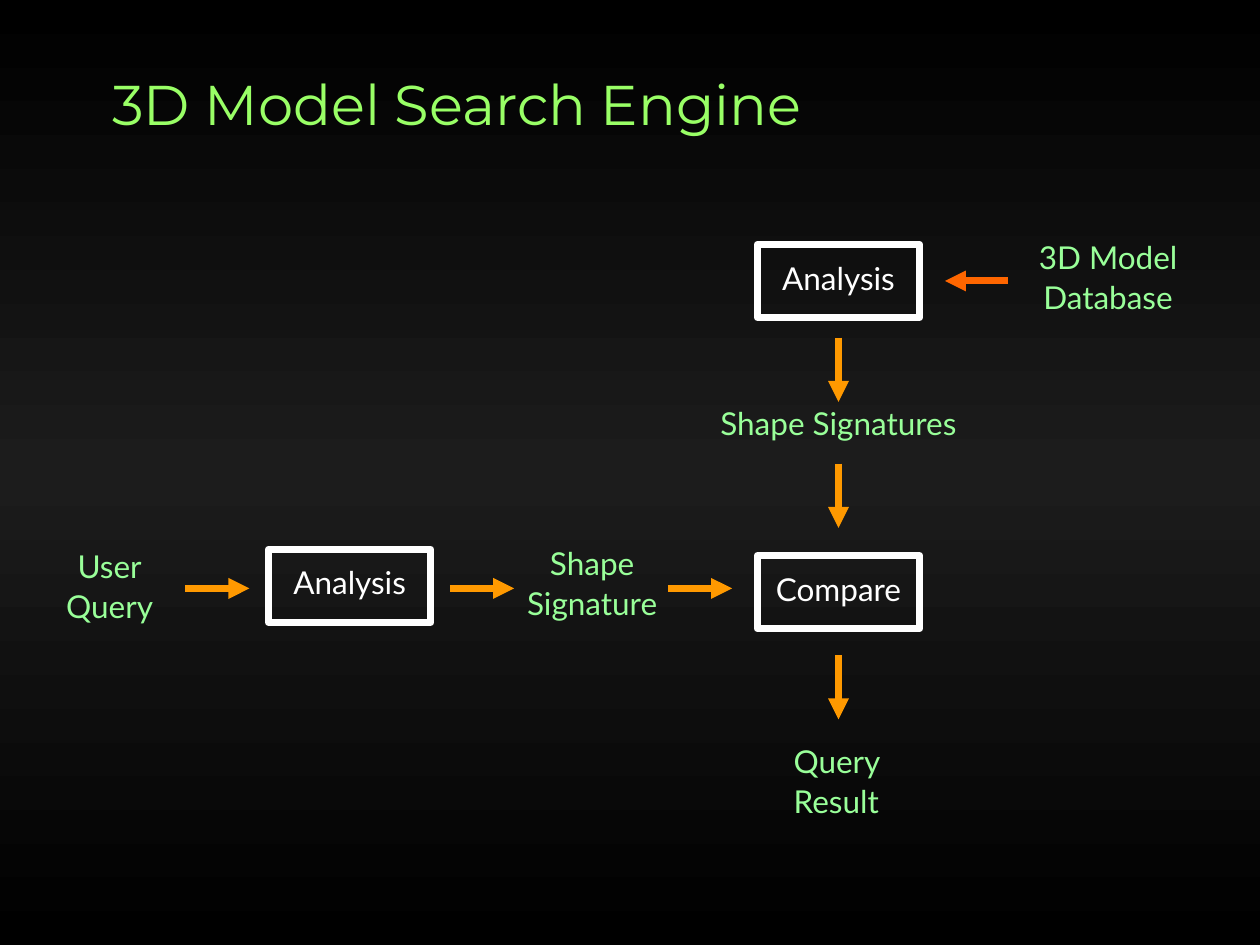
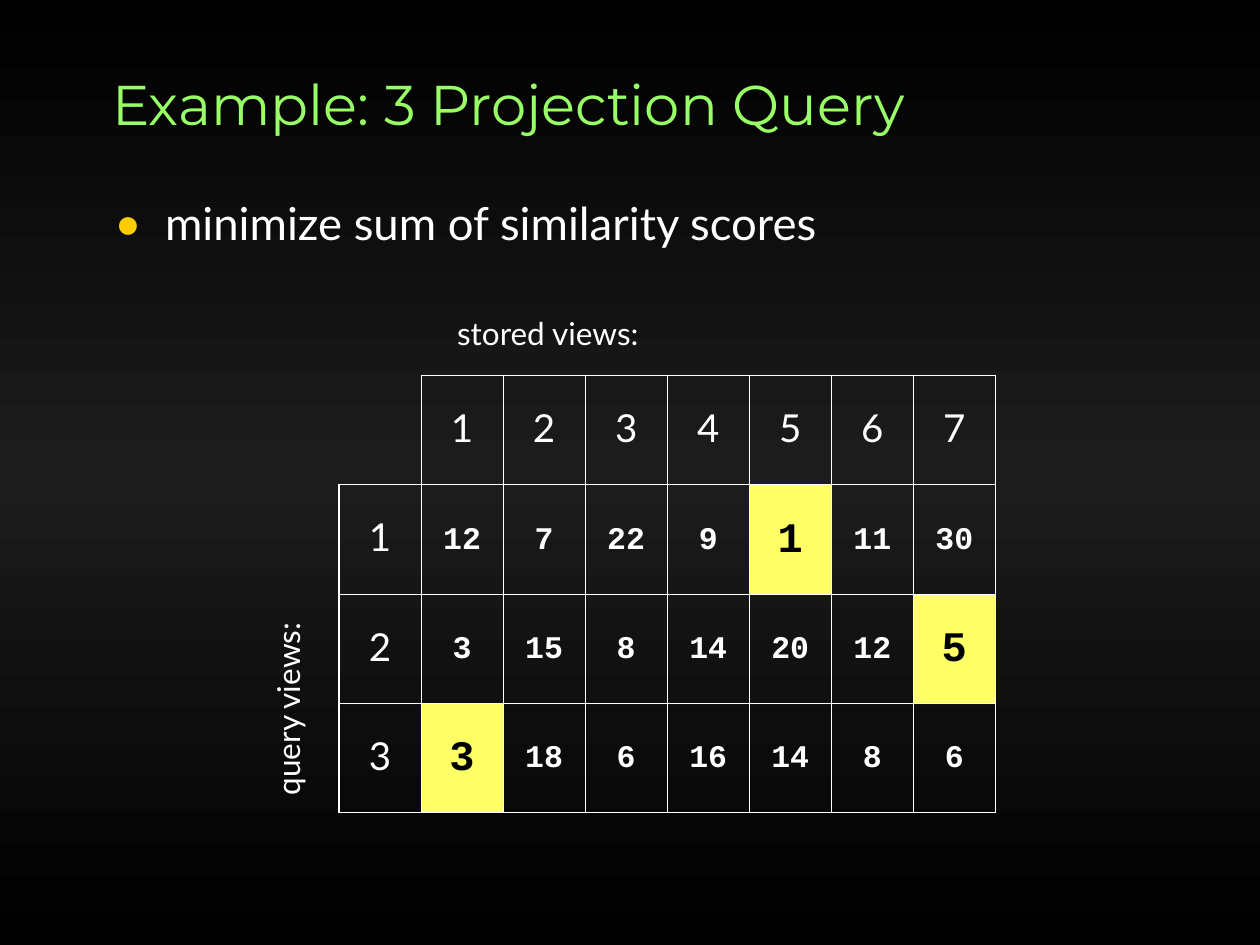
from lxml import etree
from pptx import Presentation
from pptx import util as u
from pptx.dml.color import RGBColor
from pptx.enum import shapes, text
from pptx.oxml.ns import qn

SLIDE_WIDTH, SLIDE_HEIGHT = u.Inches(10), u.Inches(7.5)
COLUMNS, ROWS = 100, 75

COLORS = {
    "black": "000000", "middle": "1C1C1C", "white": "FFFFFF",
    "title": "99FF66", "label": "99FF99", "bullet": "FFCC00",
    "arrow": "FF9900", "database arrow": "FF6600", "match": "FFFF66",
}
TITLE_FONT, TEXT_FONT, NUMBER_FONT = "Montserrat", "Lato", "Courier New"
TEXT_SIZE, STROKE = 18, 4
THIN, THICK = 0.45, 1.08
LEFT, CENTER = text.PP_ALIGN.LEFT, text.PP_ALIGN.CENTER


# Grid and colour helpers
def across(columns):
    return round(SLIDE_WIDTH * columns / COLUMNS)


def down(rows):
    return round(SLIDE_HEIGHT * rows / ROWS)


def frame(left, top, width, height):
    return across(left), down(top), across(width), down(height)


def centered_frame(middle, size):
    (x, y), (width, height) = middle, size
    return frame(x - width / 2, y - height / 2, width, height)


def rgb(name):
    return RGBColor.from_string(COLORS[name])


def add_color(parent, name):
    etree.SubElement(parent, qn("a:srgbClr"), val=COLORS[name])


# Text
def write_lines(text_frame, lines, color, size=TEXT_SIZE, font=TEXT_FONT,
                bold=False, align=CENTER, spacing=0.8):
    for index, line in enumerate(lines):
        paragraph = text_frame.paragraphs[0] if index == 0 else text_frame.add_paragraph()
        paragraph.alignment = align
        paragraph.line_spacing = spacing
        paragraph.space_before = u.Pt(size * 0.31)
        run = paragraph.add_run()
        run.text = line
        run.font.name, run.font.size, run.font.bold = font, u.Pt(size), bold
        run.font.color.rgb = rgb(color)


def place(shape, left, top, width, height):
    shape.left, shape.top, shape.width, shape.height = frame(left, top, width, height)
    shape.text_frame.auto_size = text.MSO_AUTO_SIZE.NONE


def add_titled_slide(presentation, layout_index, title):
    slide = presentation.slides.add_slide(presentation.slide_layouts[layout_index])
    shape = slide.shapes.title
    place(shape, 7.9, 1.9, 85, 12.5)
    shape.text_frame.vertical_anchor = text.MSO_ANCHOR.MIDDLE
    write_lines(shape.text_frame, [title], "title", 32, TITLE_FONT, align=LEFT, spacing=1.0)
    return slide


def add_label(slide, lines, middle, size, color="label", align=CENTER, spacing=0.8, rotation=0):
    shape = slide.shapes.add_textbox(*centered_frame(middle, size))
    shape.rotation = rotation
    shape.text_frame.word_wrap = False
    shape.text_frame.auto_size = text.MSO_AUTO_SIZE.SHAPE_TO_FIT_TEXT
    write_lines(shape.text_frame, lines, color, align=align, spacing=spacing)


def write_bullet(shape, line):
    place(shape, 8.3, 15.5, 85, 9)
    write_lines(shape.text_frame, [line], "white", 26, align=LEFT, spacing=0.9)
    properties = shape.text_frame.paragraphs[0]._p.get_or_add_pPr()
    indent = u.Inches(0.38)
    properties.set("marL", str(indent))
    properties.set("indent", str(-indent))
    add_color(etree.SubElement(properties, qn("a:buClr")), "bullet")
    etree.SubElement(properties, qn("a:buSzPct"), val="80000")
    etree.SubElement(properties, qn("a:buFont"), typeface=TEXT_FONT)
    etree.SubElement(properties, qn("a:buChar"), char="●")


# Diagram parts
def add_step(slide, name, middle):
    shape = slide.shapes.add_shape(shapes.MSO_SHAPE.RECTANGLE,
                                   *centered_frame(middle, (12.9, 5.8)))
    shape.shadow.inherit = False
    shape.fill.background()
    shape.line.color.rgb = rgb("white")
    shape.line.width = u.Pt(STROKE)
    shape.text_frame.word_wrap = False
    shape.text_frame.vertical_anchor = text.MSO_ANCHOR.MIDDLE
    write_lines(shape.text_frame, [name], "white")


def add_arrow(slide, x, y, run_x, run_y, color="arrow"):
    connector = slide.shapes.add_connector(
        shapes.MSO_CONNECTOR.STRAIGHT, across(x), down(y), across(x + run_x), down(y + run_y))
    connector.line.color.rgb = rgb(color)
    connector.line.width = u.Pt(STROKE)
    etree.SubElement(connector.line._get_or_add_ln(), qn("a:tailEnd"), type="triangle")
    etree.SubElement(connector._element.spPr, qn("a:effectLst"))


# Table parts
def set_borders(cell, widths):
    """Draw the left, right, top and bottom borders; a width of 0 hides one."""
    properties = cell._tc.get_or_add_tcPr()
    for index, (side, width) in enumerate(zip("LRTB", widths)):
        line = etree.Element(qn(f"a:ln{side}"), w=str(u.Pt(width)))
        if width:
            add_color(etree.SubElement(line, qn("a:solidFill")), "white")
        else:
            etree.SubElement(line, qn("a:noFill"))
        properties.insert(index, line)


def add_score_table(slide, scores, matches):
    row_count, column_count = len(scores) + 1, len(scores[0]) + 1
    table = slide.shapes.add_table(row_count, column_count,
                                   *frame(26.9, 29.8, 52.1, 34.7)).table
    table.first_row = table.horz_banding = False
    values = [["", *range(1, column_count)]]
    values += [[view, *row] for view, row in enumerate(scores, start=1)]

    for row, row_values in enumerate(values):
        for column, value in enumerate(row_values):
            cell = table.cell(row, column)
            cell.vertical_anchor = text.MSO_ANCHOR.MIDDLE
            cell.fill.background()
            corner = row == column == 0
            outer = 0 if corner else THICK
            set_borders(cell, (outer if column == 0 else THIN,
                               THICK if column == column_count - 1 else THIN,
                               outer if row == 0 else THIN,
                               THICK if row == row_count - 1 else THIN))
            if corner:
                continue
            color, size, font, bold = "white", TEXT_SIZE, NUMBER_FONT, True
            if row == 0 or column == 0:
                size, font, bold = 22, TEXT_FONT, False
            elif (row, column) in matches:
                color, size = "black", 24
                cell.fill.solid()
                cell.fill.fore_color.rgb = rgb("match")
            write_lines(cell.text_frame, [str(value)], color, size, font, bold, spacing=0.9)


# Shared background
def set_background(master):
    fill = master.background.fill
    fill.gradient()
    fill.gradient_angle = 90
    stops = master.element.find(f".//{qn('a:gsLst')}")
    for stop in list(stops):
        stops.remove(stop)
    for percent, color in ((0, "black"), (50, "middle"), (100, "black")):
        add_color(etree.SubElement(stops, qn("a:gs"), pos=str(percent * 1000)), color)


# Slides
def build_search_engine(presentation):
    slide = add_titled_slide(presentation, 5, "3D Model Search Engine")
    main_x, query_y, arrow = 66.55, 46.7, 5.1

    add_step(slide, "Analysis", (main_x, 22.3))
    add_step(slide, "Compare", (main_x, 47))
    add_step(slide, "Analysis", (27.75, 46.5))

    add_label(slide, ["3D Model", "Database"], (87.95, 22.3), (13.3, 6.6))
    add_label(slide, ["Shape Signatures"], (main_x, 33.75), (22.5, 3.7), spacing=0.9)
    add_label(slide, ["User", "Query"], (8.7, 46.8), (9.2, 6.6))
    add_label(slide, ["Shape", "Signature"], (47, 46.6), (13.4, 6.6))
    add_label(slide, ["Query", "Result"], (66.6, 62.3), (9.2, 6.6), align=LEFT)

    for y in (26.8, 36.8, 52):
        add_arrow(slide, main_x, y, 0, arrow)
    for x in (14.7, 35.7, 53):
        add_arrow(slide, x, query_y, arrow, 0)
    add_arrow(slide, 80, 22.3, -5, 0, "database arrow")


def build_projection_query(presentation):
    slide = add_titled_slide(presentation, 1, "Example: 3 Projection Query")
    write_bullet(slide.placeholders[1], "minimize sum of similarity scores")
    scores = [
        [12, 7, 22, 9, 1, 11, 30],
        [3, 15, 8, 14, 20, 12, 5],
        [3, 18, 6, 16, 14, 8, 6],
    ]
    add_score_table(slide, scores, matches={(1, 5), (2, 7), (3, 1)})
    add_label(slide, ["stored views:"], (44, 26.7), (17.4, 3.4), "white", LEFT)
    add_label(slide, ["query views:"], (23.1, 55.8), (16.6, 3.4), "white", LEFT, rotation=270)


def main():
    presentation = Presentation()
    presentation.slide_width, presentation.slide_height = SLIDE_WIDTH, SLIDE_HEIGHT
    set_background(presentation.slide_master)
    build_search_engine(presentation)
    build_projection_query(presentation)
    presentation.save("out.pptx")


if __name__ == "__main__":
    main()
